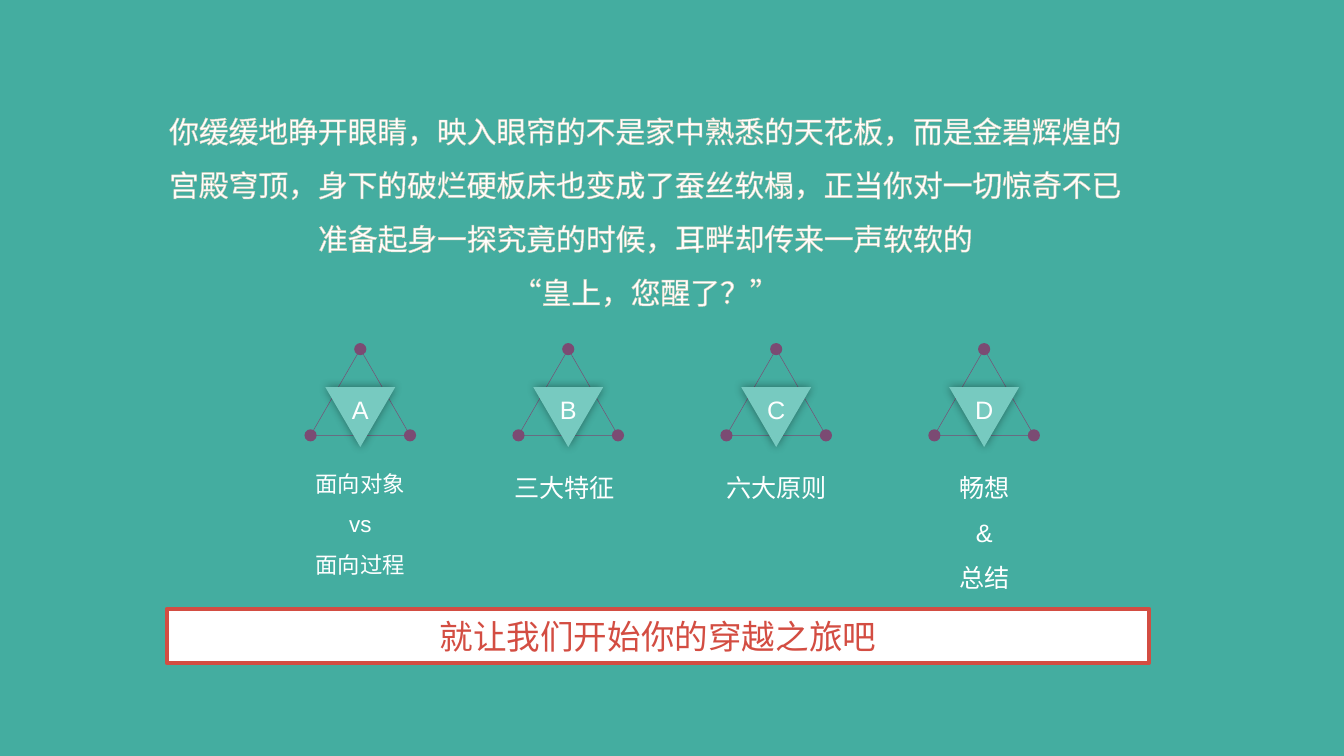
"""Build the story slide with four lettered topics and a closing banner."""
from lxml import etree
from pptx import Presentation
from pptx.dml.color import RGBColor
from pptx.enum.shapes import MSO_SHAPE
from pptx.enum.text import MSO_ANCHOR, PP_ALIGN
from pptx.oxml import parse_xml
from pptx.oxml.ns import nsdecls, qn
from pptx.util import Cm, Pt

TRIANGLE, OVAL, RECTANGLE = (
    MSO_SHAPE.ISOSCELES_TRIANGLE, MSO_SHAPE.OVAL, MSO_SHAPE.RECTANGLE)
TOP, MIDDLE = MSO_ANCHOR.TOP, MSO_ANCHOR.MIDDLE
CENTER = PP_ALIGN.CENTER

TEAL, MINT, PLUM, RED, WHITE = "44ADA0", "77CAC0", "7B4B73", "D34D42", "FFFFFF"
LETTER_WHITE, CREAM = "FEFFFF", "DAD4BE"

STORY = [
    "你缓缓地睁开眼睛，映入眼帘的不是家中熟悉的天花板，而是金碧辉煌的宫殿穹顶，"
    "身下的破烂硬板床也变成了蚕丝软榻，正当你对一切惊奇不已准备起身一探究竟的时候，"
    "耳畔却传来一声软软的",
    "“皇上，您醒了？”",
]
TOPICS = [
    {"letter": "A", "lines": ["面向对象", "vs", "面向过程"], "size": 12, "width": 2.64, "shift": 0},
    {"letter": "B", "lines": ["三大特征"], "size": 13.5, "width": 2.49, "shift": -0.07},
    {"letter": "C", "lines": ["六大原则"], "size": 13.5, "width": 2.82, "shift": 0},
    {"letter": "D", "lines": ["畅想", "&", "总结"], "size": 13.5, "width": 2.36, "shift": 0},
]
BANNER = "就让我们开始你的穿越之旅吧"

FIRST_CENTER, TOPIC_STEP = 6.81, 3.93
FRAME_TOP, FRAME_HEIGHT, FRAME_HALF = 6.6, 1.63, 0.94
BADGE_TOP, BADGE_BOTTOM, BADGE_HALF = 7.32, 8.45, 0.66
DOT = 0.23
LABEL_TOP, LABEL_HEIGHT = 8.51, 4.14


def color(value):
    return RGBColor.from_string(value)


def style(shape, fill=None, line=None, line_width=0):
    shape.shadow.inherit = False
    if fill:
        shape.fill.solid()
        shape.fill.fore_color.rgb = color(fill)
    else:
        shape.fill.background()
    if line:
        shape.line.color.rgb = color(line)
        shape.line.width = Pt(line_width)
    else:
        shape.line.fill.background()


def add_shape(shapes, kind, left, top, width, height, **look):
    shape = shapes.add_shape(kind, Cm(left), Cm(top), Cm(width), Cm(height))
    style(shape, **look)
    return shape


def write(shape, lines, size, ink, font="Arial", spacing=None, anchor=TOP):
    frame = shape.text_frame
    frame.word_wrap = True
    frame.vertical_anchor = anchor
    frame.text = "\n".join(lines)
    for paragraph in frame.paragraphs:
        paragraph.alignment = CENTER
        paragraph.line_spacing = spacing
        paragraph.font.size = Pt(size)
        paragraph.font.name = font
        paragraph.font.color.rgb = color(ink)


def add_textbox(shapes, left, top, width, height, *text, **options):
    box = shapes.add_textbox(Cm(left), Cm(top), Cm(width), Cm(height))
    write(box, *text, **options)
    return box


def add_glow(shape):
    effects = shape.element.spPr.find(qn("a:effectLst"))
    effects.append(parse_xml(
        f'<a:outerShdw {nsdecls("a")} blurRad="{Pt(5)}" dist="0" dir="0">'
        '<a:srgbClr val="000000"><a:alpha val="40000"/></a:srgbClr></a:outerShdw>'))


def outline_text(shape, ink, width):
    for paragraph in shape.text_frame.paragraphs:
        for run in paragraph.runs:
            line = etree.Element(qn("a:ln"), w=str(Pt(width)))
            fill = etree.SubElement(line, qn("a:solidFill"))
            etree.SubElement(fill, qn("a:srgbClr"), val=ink)
            run.font._element.insert(0, line) if hasattr(run.font, "_element") \
                else run._r.get_or_add_rPr().insert(0, line)


def add_topic(slide, center, topic):
    shapes = slide.shapes.add_group_shape().shapes
    add_shape(shapes, TRIANGLE, center - FRAME_HALF, FRAME_TOP,
              2 * FRAME_HALF, FRAME_HEIGHT, line=PLUM, line_width=0.25)
    bottom = FRAME_TOP + FRAME_HEIGHT
    corners = [(center, FRAME_TOP), (center + FRAME_HALF, bottom), (center - FRAME_HALF, bottom)]
    for x, y in corners:
        add_shape(shapes, OVAL, x - DOT / 2, y - DOT / 2, DOT, DOT, fill=PLUM)

    builder = shapes.build_freeform(Cm(center - BADGE_HALF), Cm(BADGE_TOP))
    builder.add_line_segments([(Cm(center + BADGE_HALF), Cm(BADGE_TOP)),
                               (Cm(center), Cm(BADGE_BOTTOM))])
    badge = builder.convert_to_shape()
    style(badge, fill=MINT)
    add_glow(badge)
    write(badge, [topic["letter"]], 13.5, LETTER_WHITE)

    left = center + topic["shift"] - topic["width"] / 2
    add_textbox(shapes, left, LABEL_TOP, topic["width"], LABEL_HEIGHT,
                topic["lines"], topic["size"], WHITE, spacing=1.5)


def main():
    presentation = Presentation()
    presentation.slide_width, presentation.slide_height = Cm(25.4), Cm(14.29)
    slide = presentation.slides.add_slide(presentation.slide_layouts[6])
    slide.background.fill.solid()
    slide.background.fill.fore_color.rgb = color(TEAL)

    for index, topic in enumerate(TOPICS):
        add_topic(slide, FIRST_CENTER + index * TOPIC_STEP, topic)

    story = add_textbox(slide.shapes, 2.72, 1.47, 18.97, 4.72, STORY, 16, WHITE,
                        font="Noto Sans CJK SC", spacing=1.5, anchor=MIDDLE)
    outline_text(story, CREAM, 0.8)

    banner = add_shape(slide.shapes, RECTANGLE, 3.15, 11.51, 18.57, 1.02,
                       fill=WHITE, line=RED, line_width=2)
    write(banner, [BANNER], 18, RED, anchor=MIDDLE)
    presentation.save("out.pptx")


if __name__ == "__main__":
    main()
